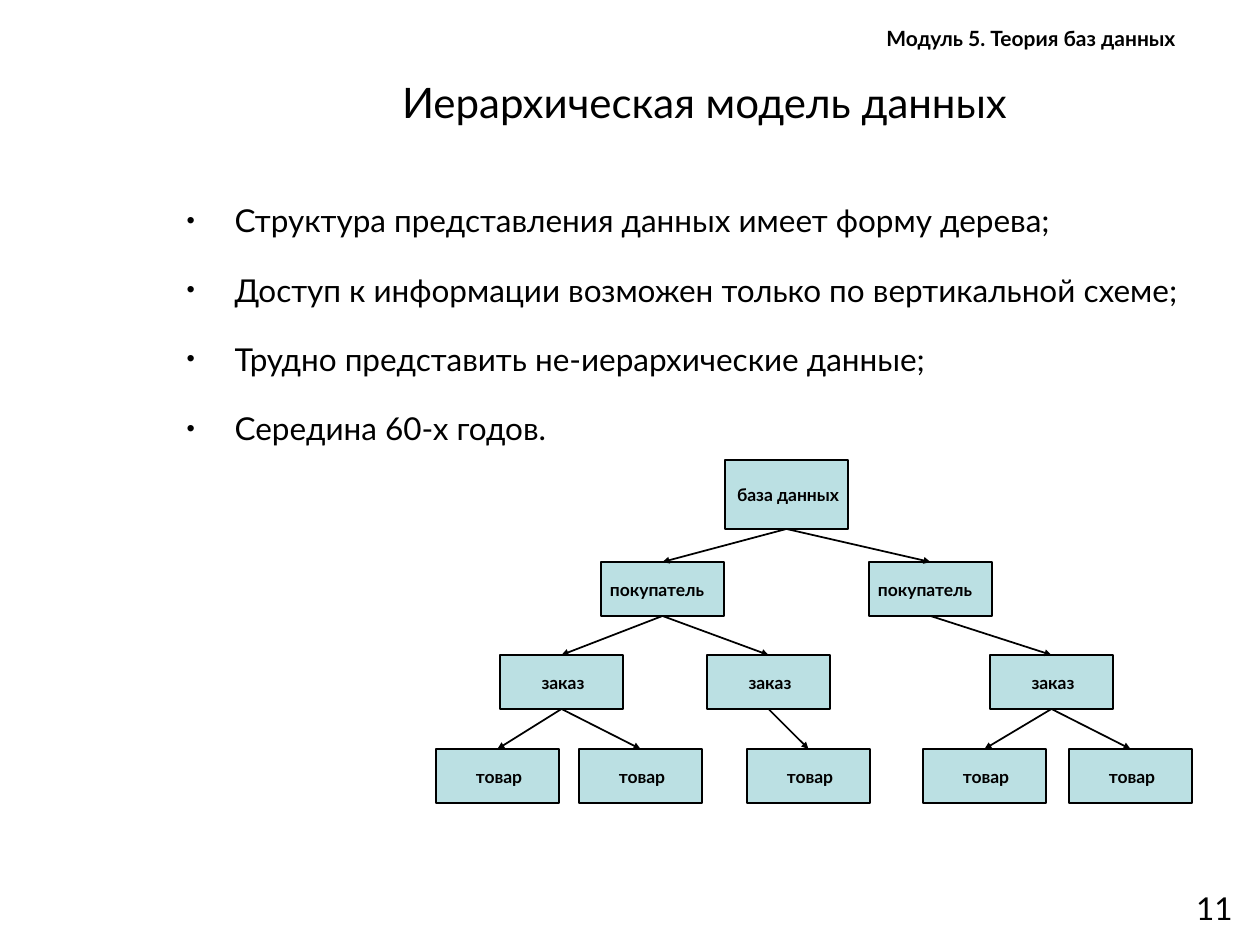
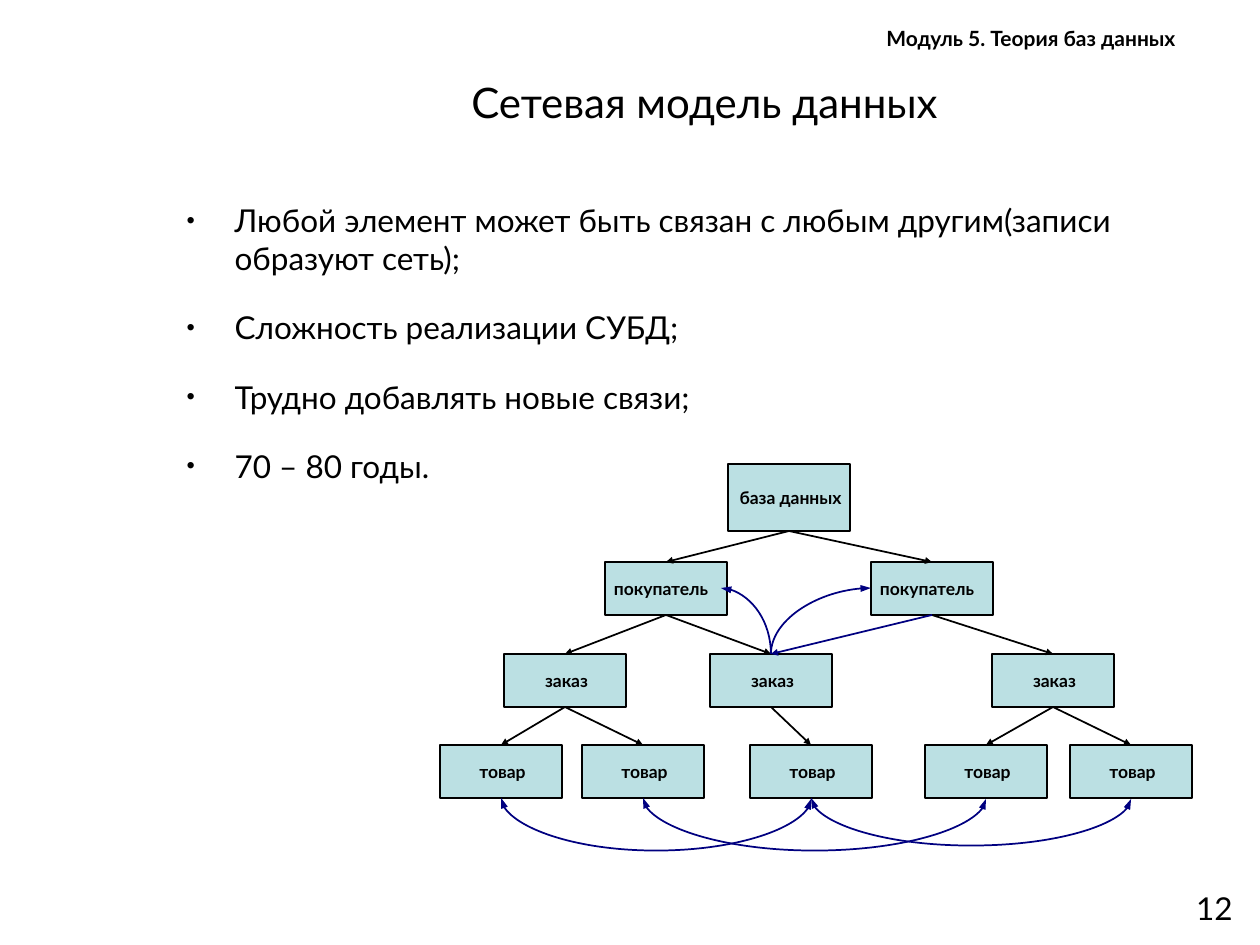
from dataclasses import dataclass

from lxml import etree
from pptx import Presentation
from pptx import util as u
from pptx.dml import color
from pptx.enum import shapes, text
from pptx.oxml import ns


@dataclass(frozen=True)
class Theme:
    font: str = "Lato"
    ink: color.RGBColor = color.RGBColor(0, 0, 0)
    node: color.RGBColor = color.RGBColor(0xBB, 0xE0, 0xE3)
    network: color.RGBColor = color.RGBColor(0, 0, 0x80)
    title: int = 24
    body: int = 18
    header: int = 12
    label: int = 10
    line: int = 1


theme = Theme()
PX = 914400 / 126


def write(paragraph, content, size, bold=False, align=text.PP_ALIGN.LEFT):
    paragraph.text = content
    paragraph.alignment = align
    formats = {"name": theme.font, "size": u.Pt(size), "bold": bold}
    for name, value in formats.items():
        setattr(paragraph.font, name, value)
    paragraph.font.color.rgb = theme.ink


def add_link(slide, kind, start, end, rgb, ends, length):
    points = [round(value * PX) for value in (*start, *end)]
    connector = slide.shapes.add_connector(kind, *points)
    connector.line.color.rgb = rgb
    connector.line.width = u.Pt(theme.line)
    outline = connector.line._get_or_add_ln()
    for tag in ends:
        etree.SubElement(outline, ns.qn(tag), type="triangle", w="sm", len=length)
    etree.SubElement(connector._element.spPr, ns.qn("a:effectLst"))
    return connector


names = ["база данных", "покупатель", "заказ", "товар"]
branches = [
    (0, 0, 0), (0, 0, 1),
    (1, 0, 0), (1, 0, 1), (1, 1, 2),
    (2, 0, 0), (2, 0, 1), (2, 1, 2), (2, 2, 3), (2, 2, 4),
]
models = [
    {
        "title": "Иерархическая модель данных",
        "points": [
            "Структура представления данных имеет форму дерева;",
            "Доступ к информации возможен только по вертикальной схеме;",
            "Трудно представить не-иерархические данные;",
            "Середина 60-х годов.",
        ],
        "number": "11",
        "width": 123,
        "heights": [69, 54, 54, 54],
        "tops": [460, 562, 655, 749],
        "lefts": [[725], [601, 869], [500, 707, 990], [436, 579, 747, 923, 1069]],
        "network": False,
    },
    {
        "title": "Сетевая модель данных",
        "points": [
            "Любой элемент может быть связан с любым другим(записи образуют сеть);",
            "Сложность реализации СУБД;",
            "Трудно добавлять новые связи;",
            "70 – 80 годы.",
        ],
        "number": "12",
        "width": 122,
        "heights": [67, 53, 53, 53],
        "tops": [464, 562, 654, 745],
        "lefts": [[728], [605, 871], [504, 710, 992], [440, 582, 750, 925, 1070]],
        "network": True,
    },
]

presentation = Presentation()
presentation.slide_width = round(1260 * PX)
presentation.slide_height = round(945 * PX)

for model in models:
    slide = presentation.slides.add_slide(presentation.slide_layouts[1])
    title, body = slide.placeholders
    header = slide.shapes.add_textbox(0, 0, 0, 0)
    number = slide.shapes.add_textbox(0, 0, 0, 0)
    places = [
        (title, (217, 54, 975, 96)),
        (body, (174, 195, 1086, 446)),
        (header, (874, 19, 368, 38)),
        (number, (951, 883, 294, 66)),
    ]
    for shape, place in places:
        for name, value in zip(("left", "top", "width", "height"), place):
            setattr(shape, name, round(value * PX))
        shape.text_frame.word_wrap = True
        shape.text_frame.auto_size = text.MSO_AUTO_SIZE.NONE

    title.text_frame.vertical_anchor = text.MSO_ANCHOR.MIDDLE
    write(title.text_frame.paragraphs[0], model["title"], theme.title,
          align=text.PP_ALIGN.CENTER)
    write(header.text_frame.paragraphs[0], "Модуль 5. Теория баз данных",
          theme.header, bold=True)
    write(number.text_frame.paragraphs[0], model["number"], theme.body,
          align=text.PP_ALIGN.RIGHT)

    body.text_frame.vertical_anchor = text.MSO_ANCHOR.TOP
    for index, point in enumerate(model["points"]):
        paragraph = body.text_frame.paragraphs[0] if index == 0 else body.text_frame.add_paragraph()
        properties = paragraph._p.get_or_add_pPr()
        properties.set("marL", str(round(48 * PX)))
        properties.set("indent", str(round(-48 * PX)))
        etree.SubElement(properties, ns.qn("a:buSzPct"), val="75000")
        etree.SubElement(properties, ns.qn("a:buChar"), char="•")
        paragraph.space_before = u.Pt(18 if index else 0)
        write(paragraph, point, theme.body)

    width = model["width"]
    nodes = []
    for level, name in enumerate(names):
        row = []
        for left in model["lefts"][level]:
            place = (left, model["tops"][level], width, model["heights"][level])
            node = slide.shapes.add_shape(
                shapes.MSO_SHAPE.FLOWCHART_PROCESS, *[round(value * PX) for value in place])
            node.shadow.inherit = False
            node.fill.solid()
            node.fill.fore_color.rgb = theme.node
            node.line.color.rgb = theme.ink
            node.line.width = u.Pt(theme.line)
            frame = node.text_frame
            formats = {
                "margin_left": round(9 * PX), "margin_right": round(6 * PX),
                "margin_top": 0, "margin_bottom": 0,
                "word_wrap": True, "vertical_anchor": text.MSO_ANCHOR.MIDDLE,
            }
            for key, value in formats.items():
                setattr(frame, key, value)
            align = text.PP_ALIGN.LEFT if level == 1 else text.PP_ALIGN.CENTER
            write(frame.paragraphs[0], name, theme.label, bold=True, align=align)
            row.append(node)
        nodes.append(row)

    links = [(*branch, theme.ink) for branch in branches]
    if model["network"]:
        links.append((1, 1, 1, theme.network))
    for level, parent, child, rgb in links:
        connector = add_link(slide, shapes.MSO_CONNECTOR.STRAIGHT, (0, 0), (0, 0),
                             rgb, ["a:tailEnd"], "sm")
        connector.begin_connect(nodes[level][parent], 2)
        connector.end_connect(nodes[level + 1][child], 0)

    if not model["network"]:
        continue

    goods = [left + width // 2 for left in model["lefts"][3]]
    goods_bottom = model["tops"][3] + model["heights"][3]
    order = (model["lefts"][2][1] + width // 2, model["tops"][2])
    buyer_middle = model["tops"][1] + model["heights"][1] // 2
    both_ends = ["a:headEnd", "a:tailEnd"]
    curves = [
        ((goods[first], goods_bottom), (goods[last], goods_bottom + 1), 270, True, depth, both_ends)
        for first, last, depth in [(0, 2, 53), (2, 4, 48), (1, 3, 53)]
    ]
    curves.append((order, (721, buyer_middle), 90, True, None, ["a:tailEnd"]))
    curves.append((order, (model["lefts"][1][1], buyer_middle), 270, False, None, ["a:tailEnd"]))
    for start, end, turn, flip, depth, ends in curves:
        across, down = abs(end[1] - start[1]), abs(end[0] - start[0])
        left = (start[0] + end[0] - across) / 2
        top = (start[1] + end[1] - down) / 2
        connector = add_link(slide, shapes.MSO_CONNECTOR.CURVE, (left, top),
                             (left + across, top + down), theme.network, ends, "med")
        properties = connector._element.spPr
        frame = properties.find(ns.qn("a:xfrm"))
        frame.set("rot", str(turn * 60000))
        if flip:
            frame.set("flipH", "1")
        geometry = properties.find(ns.qn("a:prstGeom"))
        if depth is None:
            geometry.set("prst", "curvedConnector2")
        else:
            guides = geometry.find(ns.qn("a:avLst"))
            etree.SubElement(guides, ns.qn("a:gd"), name="adj1", fmla=f"val {depth * 100000}")

presentation.save("out.pptx")
